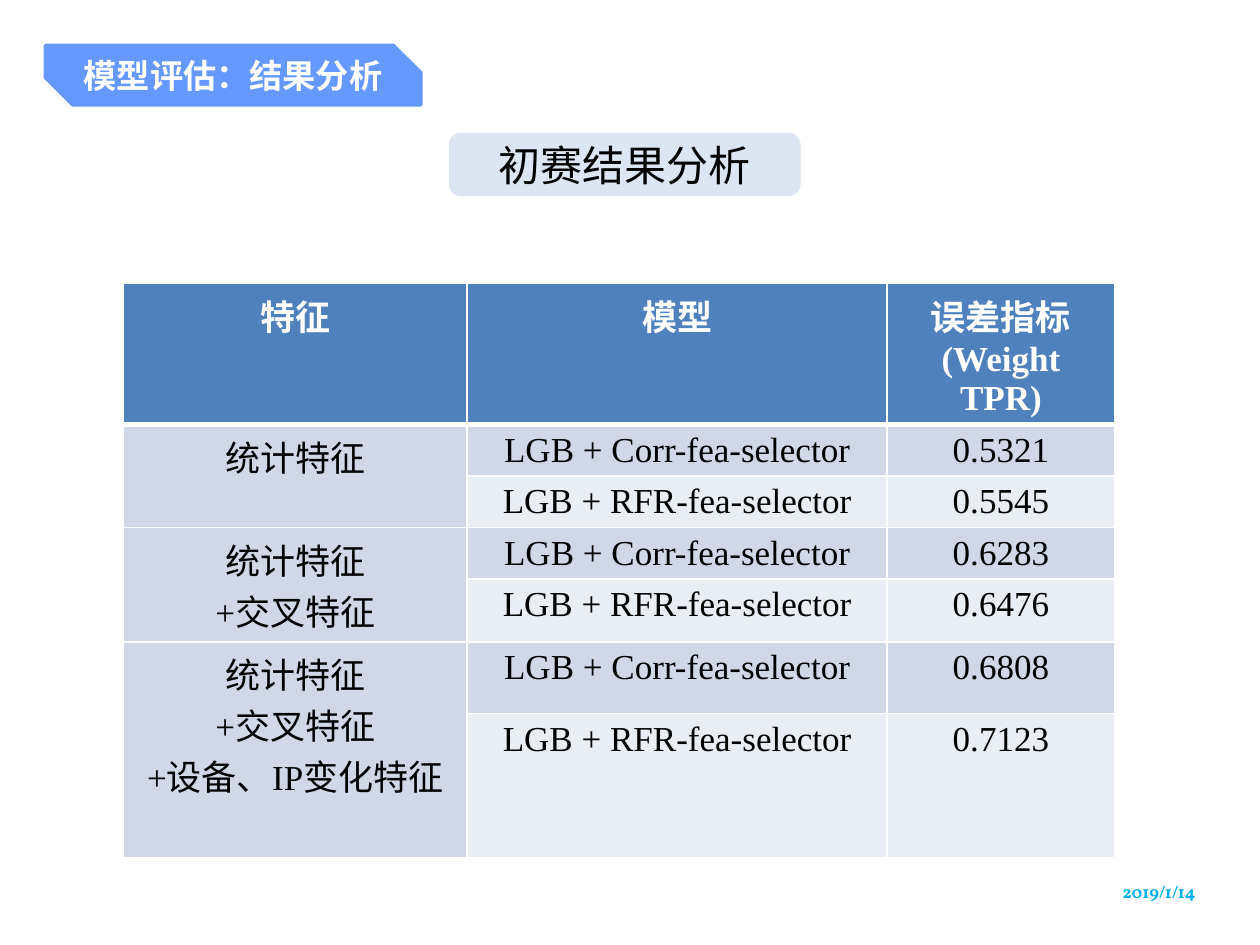
from dataclasses import dataclass

from lxml.etree import SubElement
from pptx import Presentation
from pptx.dml.color import RGBColor as RGB
from pptx.enum.shapes import MSO_SHAPE as Preset
from pptx.enum.text import MSO_ANCHOR as Anchor, PP_ALIGN as Align
from pptx.oxml.ns import qn
from pptx.util import Pt


@dataclass(frozen=True)
class Theme:
    ribbon: str = "6699FF"
    badge: str = "DCE6F2"
    header: str = "4F81BD"
    band_dark: str = "D0D8E8"
    band_light: str = "E9EDF4"
    white: str = "FFFFFF"
    black: str = "000000"
    date: str = "00B0F0"
    cjk: str = "Noto Sans CJK SC"
    serif: str = "Times New Roman"
    date_font: str = "Vollkorn"
    title_size: int = 19
    badge_size: int = 24
    table_size: int = 20
    date_size: int = 10


theme = Theme()

TITLE = "模型评估：结果分析"
SUBTITLE = "初赛结果分析"
DATE = "2019/1/14"
HEADERS = [["特征"], ["模型"], ["误差指标", "(Weight TPR)"]]
MODELS = ["LGB + Corr-fea-selector", "LGB + RFR-fea-selector"]
FEATURES = ["统计特征", "+交叉特征", "+设备、IP变化特征"]
SCORES = [("0.5321", "0.5545"), ("0.6283", "0.6476"), ("0.6808", "0.7123")]

RIBBON_BOX = (26, 26, 214.5, 34)
BADGE_BOX = (257.5, 77, 199, 34)
DATE_BOX = (633, 499, 70.5, 29)
TABLE_ORIGIN = (70.5, 162)
COLUMNS = [196.5, 240, 130]
ROWS = [42.5, 25, 25, 21.5, 21.5, 41, 25]


def box(bounds):
    return [Pt(length) for length in bounds]


def write(frame, lines, size, color, font, bold=False, align=Align.CENTER):
    for index, line in enumerate(lines):
        paragraph = frame.paragraphs[0] if index == 0 else frame.add_paragraph()
        paragraph.alignment = align
        run = paragraph.add_run()
        run.text = line
        run.font.size = Pt(size)
        run.font.bold = bold
        run.font.name = font
        run.font.color.rgb = RGB.from_string(color)
        east_asian = SubElement(run.font._element, qn("a:ea"))
        east_asian.set("typeface", theme.cjk)


def set_insets(frame):
    frame.margin_left = frame.margin_right = Pt(8.5)
    frame.margin_top = frame.margin_bottom = Pt(4.25)


def add_panel(slide, preset, bounds, color):
    panel = slide.shapes.add_shape(preset, *box(bounds))
    panel.shadow.inherit = False
    panel.fill.solid()
    panel.fill.fore_color.rgb = RGB.from_string(color)
    panel.line.color.rgb = RGB.from_string(color)
    panel.line.width = Pt(2)
    return panel


def add_title(slide):
    ribbon = add_panel(slide, Preset.SNIP_2_DIAG_RECTANGLE, RIBBON_BOX, theme.ribbon)
    ribbon.adjustments[0] = 0
    ribbon.adjustments[1] = 0.46
    title = slide.shapes.title
    title.left, title.top, title.width, title.height = box(RIBBON_BOX)
    title._element.addprevious(ribbon._element)
    frame = title.text_frame
    frame.vertical_anchor = Anchor.MIDDLE
    set_insets(frame)
    write(frame, [TITLE], theme.title_size, theme.white, theme.cjk, bold=True)


def add_badge(slide):
    badge = add_panel(slide, Preset.ROUNDED_RECTANGLE, BADGE_BOX, theme.badge)
    badge.text_frame.vertical_anchor = Anchor.MIDDLE
    write(badge.text_frame, [SUBTITLE], theme.badge_size, theme.black, theme.cjk)


def format_cell(cell, fill, bottom_width):
    properties = cell._tc.get_or_add_tcPr()
    for side, width in (("L", 1), ("R", 1), ("T", 1), ("B", bottom_width)):
        border = SubElement(properties, qn(f"a:ln{side}"), w=str(Pt(width)))
        line_fill = SubElement(border, qn("a:solidFill"))
        SubElement(line_fill, qn("a:srgbClr"), val=theme.white)
    cell.fill.solid()
    cell.fill.fore_color.rgb = RGB.from_string(fill)


def add_results(slide):
    bounds = (*TABLE_ORIGIN, sum(COLUMNS), sum(ROWS))
    table = slide.shapes.add_table(len(ROWS), len(COLUMNS), *box(bounds)).table
    for column, width in zip(table.columns, COLUMNS):
        column.width = Pt(width)
    for row, height in zip(table.rows, ROWS):
        row.height = Pt(height)

    for column, lines in enumerate(HEADERS):
        cell = table.cell(0, column)
        format_cell(cell, theme.header, 3)
        write(cell.text_frame, lines, theme.table_size, theme.white, theme.serif, bold=True)

    for group, scores in enumerate(SCORES):
        first = 1 + group * len(MODELS)
        for offset, (model, score) in enumerate(zip(MODELS, scores)):
            band = (theme.band_dark, theme.band_light)[offset]
            features = FEATURES[:group + 1] if offset == 0 else []
            for column, lines in enumerate((features, [model], [score])):
                cell = table.cell(first + offset, column)
                format_cell(cell, theme.band_dark if column == 0 else band, 1)
                write(cell.text_frame, lines, theme.table_size, theme.black, theme.serif)
        table.cell(first, 0).merge(table.cell(first + len(MODELS) - 1, 0))


def add_date(slide):
    frame = slide.shapes.add_textbox(*box(DATE_BOX)).text_frame
    frame.word_wrap = True
    set_insets(frame)
    write(frame, [DATE], theme.date_size, theme.date, theme.date_font, True, Align.LEFT)


def main():
    deck = Presentation()
    deck.slide_width, deck.slide_height = Pt(720), Pt(540)
    slide = deck.slides.add_slide(deck.slide_layouts[5])
    add_title(slide)
    add_results(slide)
    add_badge(slide)
    add_date(slide)
    deck.save("out.pptx")


if __name__ == "__main__":
    main()
